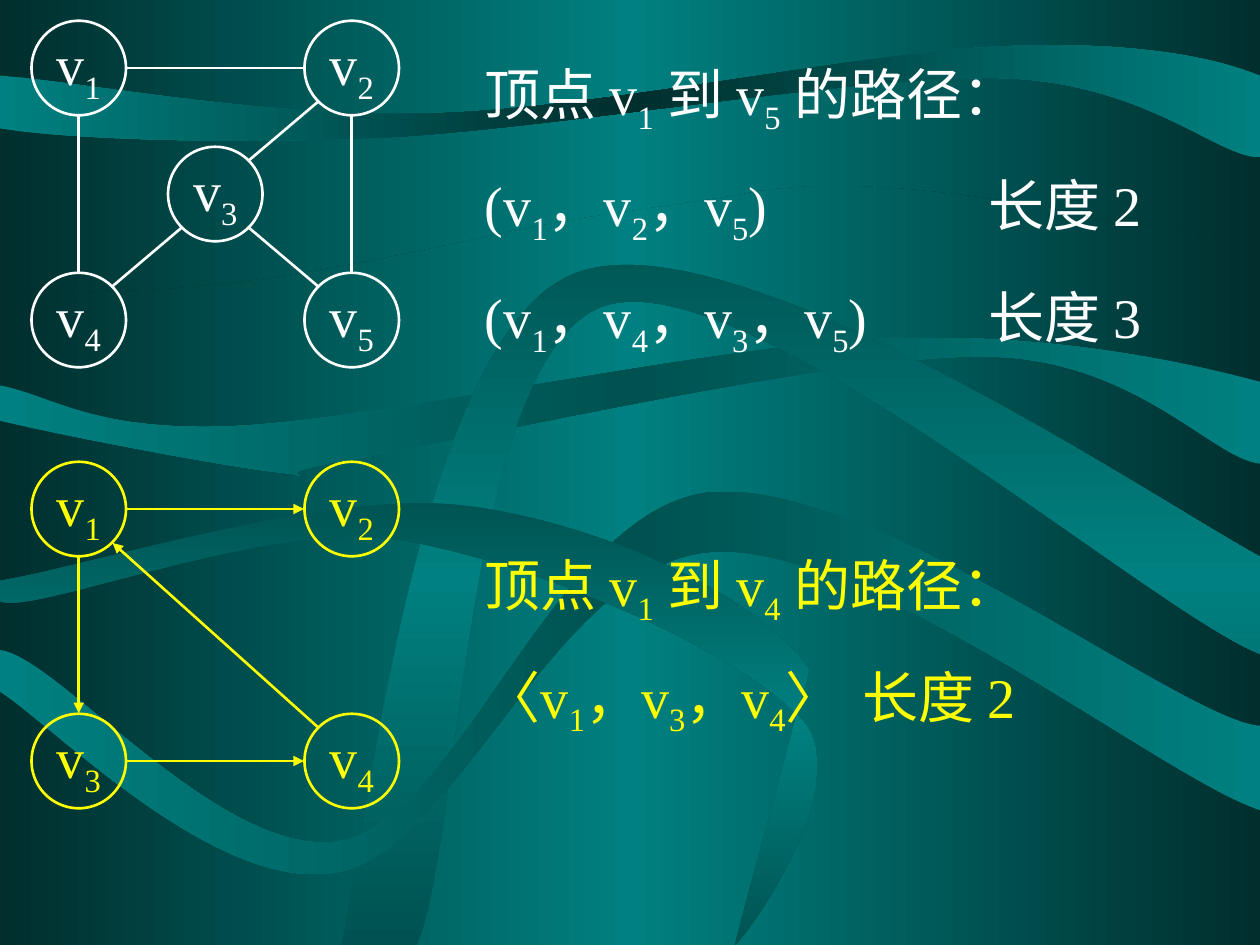
import copy
import math

import pptx
import pptx.dml.color
import pptx.enum.shapes
import pptx.enum.text
import pptx.oxml
import pptx.oxml.ns
import pptx.util
from pptx.util import Inches, Pt

FONT = "Times New Roman"
WHITE, YELLOW = "FFFFFF", "FFFF00"
DARK, SHADE, TEAL = "002F2E", "005250", "008080"

# Node grid, in inches: centre of the first node, column and row steps
FIRST_X, FIRST_Y = 0.625, 0.54
COLUMN, ROW = 13 / 12, 1.0
DIAMETER, EDGE_RADIUS = 0.75, 0.38

# Ribbons: start point, then (x, y) lines and (x1, y1, x2, y2, x, y) curves
RIBBONS = [
    ((DARK, TEAL, DARK), 180, [
        (0, 2.28), (1.78, 2.45, 3.4, 1.94, 4.58, 1.74),
        (4.58, 1.74, 5.67, 1.58, 5.86, 1.55), (7.15, 1.27, 9.17, 1.89, 10, 1.89),
        (10, 7.5), (0, 7.5), (0, 7.5, 0, 2.28, 0, 2.28)]),
    ((TEAL, DARK, TEAL), 180, [
        (0, 0.6), (0, 1.02), (0.51, 1.1, 1.76, 1.15, 3.08, 1.09),
        (4.4, 1.02, 6.79, 0.6, 7.94, 0.62), (9.09, 0.65, 9.66, 1.25, 10, 1.25),
        (10, 0.6), (9.65, 0.46, 9.01, 0.32, 7.92, 0.37),
        (6.82, 0.42, 4.77, 0.86, 3.45, 0.9), (2.13, 0.94, 0.72, 0.66, 0, 0.6)]),
    ((TEAL, SHADE, TEAL), 180, [
        (0, 3.06), (0, 3.34), (0.37, 3.43, 1.75, 3.7, 2.22, 3.75),
        (2.69, 3.8, 1.9, 3.79, 2.82, 3.64), (3.75, 3.48, 6.6, 2.82, 7.8, 2.83),
        (9, 2.83, 9.63, 3.65, 10, 3.68), (10, 3.03),
        (9.5, 2.9, 8.36, 2.63, 7.01, 2.69), (5.66, 2.74, 3.07, 3.32, 1.9, 3.38),
        (0.73, 3.44, 0.4, 3.13, 0, 3.06)]),
    ((SHADE, TEAL, SHADE), 90, [
        (2.71, 7.5), (2.91, 6.61, 3.32, 2.69, 4.54, 2.18),
        (5.75, 1.66, 9.09, 3.92, 10, 4.42), (10, 5.19),
        (9.13, 4.85, 5.91, 2.05, 4.79, 2.43), (3.68, 2.82, 3.66, 6.66, 3.31, 7.5),
        (2.71, 7.5)]),
    ((TEAL, SHADE, TEAL), 180, [
        (0, 5.16), (0, 5.49), (0.45, 5.78, 1.74, 7.11, 2.69, 6.92),
        (3.63, 6.74, 4.43, 4.46, 5.65, 4.38), (6.87, 4.29, 9.27, 6.2, 10, 6.43),
        (10, 5.76), (9.38, 5.72, 6.91, 3.77, 5.62, 3.91),
        (4.41, 4.06, 3.67, 6.46, 2.73, 6.67), (1.79, 6.87, 0.45, 5.2, 0, 5.16)]),
    ((SHADE, TEAL, SHADE), 90, [
        (0, 4.61), (0, 4.77), (0.26, 4.89, 2.08, 4.13, 3.14, 4.28),
        (4.2, 4.44, 5.92, 5.18, 6.37, 5.72), (6.82, 6.25, 5.82, 7.57, 5.83, 7.5),
        (6.42, 5.32), (6.06, 4.74, 4.73, 4.13, 3.66, 4.01),
        (2.59, 3.89, 0.76, 4.48, 0, 4.61)]),
]

# Nodes as number: (column, row)
UNDIRECTED_NODES = {1: (0, 0), 2: (2, 0), 4: (0, 2), 5: (2, 2), 3: (1, 1)}
UNDIRECTED_EDGES = [(4, 3), (3, 2), (1, 2), (1, 4), (3, 5), (2, 5)]
DIRECTED_NODES = {1: (0, 3.5), 2: (2, 3.5), 3: (0, 5.5), 4: (2, 5.5)}
DIRECTED_EDGES = [(1, 2), (1, 3), (3, 4), (4, 1)]

# Every second piece between bars is a subscript
UNDIRECTED_PATHS = [
    "顶点 v|1| 到 v|5| 的路径：",
    "(v|1|，v|2|，v|5|)\t\t长度 2",
    "(v|1|，v|4|，v|3|，v|5|)\t长度 3",
]
DIRECTED_PATHS = [
    "顶点 v|1| 到 v|4| 的路径：",
    "〈v|1|，v|3|，v|4|〉\t长度 2",
]


def rgb(value):
    return pptx.dml.color.RGBColor.from_string(value)


def element(parent, tag, **attributes):
    child = pptx.oxml.parse_xml(f"<a:{tag} {pptx.oxml.ns.nsdecls('a')}/>")
    for name, value in attributes.items():
        child.set(name, str(value))
    parent.append(child)
    return child


def set_gradient(fill, colours, angle):
    """Fill with three evenly spaced colour stops."""
    fill.gradient()
    fill.gradient_angle = angle
    first = fill.gradient_stops[0]._gs
    first.getparent().append(copy.deepcopy(first))
    for index, (stop, colour) in enumerate(zip(fill.gradient_stops, colours)):
        stop.position = index / 2
        stop.color.rgb = rgb(colour)


def bend_segments(ribbon, steps):
    """Join each three segments that stand for one curve into that curve."""
    segments = iter(ribbon._element.findall(".//" + pptx.oxml.ns.qn("a:lnTo")))
    for step in steps:
        first = next(segments)
        if len(step) == 2:
            continue
        curve = element(first.getparent(), "cubicBezTo")
        first.addprevious(curve)
        for segment in (first, next(segments), next(segments)):
            curve.append(segment[0])
            segment.getparent().remove(segment)


def add_ribbon(slide, colours, angle, steps):
    points = [(Inches(step[i]), Inches(step[i + 1]))
              for step in steps for i in range(0, len(step), 2)]
    builder = slide.shapes.build_freeform(*points[0])
    builder.add_line_segments(points[1:], close=True)
    ribbon = builder.convert_to_shape()
    bend_segments(ribbon, steps[1:])
    ribbon.shadow.inherit = False
    set_gradient(ribbon.fill, colours, angle)
    ribbon.line.fill.background()


def add_runs(paragraph, marked, colour):
    for index, piece in enumerate(marked.split("|")):
        run = paragraph.add_run()
        run.text = piece
        run.font.size = Pt(32)
        run.font.name = FONT
        run.font.color.rgb = rgb(colour)
        if index % 2:
            run.font._element.set("baseline", "-25000")


def centre(place):
    column, row = place
    return FIRST_X + column * COLUMN, FIRST_Y + row * ROW


def add_node(shapes, number, place, colour):
    x, y = centre(place)
    node = shapes.add_shape(
        pptx.enum.shapes.MSO_SHAPE.OVAL, Inches(x - DIAMETER / 2),
        Inches(y - DIAMETER / 2), Inches(DIAMETER), Inches(DIAMETER))
    node.shadow.inherit = False
    node.fill.background()
    node.line.color.rgb = rgb(colour)
    node.line.width = Pt(1.5)
    frame = node.text_frame
    frame.word_wrap = False
    frame.vertical_anchor = pptx.enum.text.MSO_ANCHOR.MIDDLE
    frame.paragraphs[0].alignment = pptx.enum.text.PP_ALIGN.CENTER
    add_runs(frame.paragraphs[0], f"v|{number}", colour)


def add_edge(shapes, start, end, colour, directed):
    """Join two nodes at the nearest of the eight compass points of each."""
    (x1, y1), (x2, y2) = centre(start), centre(end)
    dx, dy = (x2 > x1) - (x2 < x1), (y2 > y1) - (y2 < y1)
    reach = EDGE_RADIUS / math.hypot(dx, dy)
    edge = shapes.add_connector(
        pptx.enum.shapes.MSO_CONNECTOR.STRAIGHT,
        Inches(x1 + dx * reach), Inches(y1 + dy * reach),
        Inches(x2 - dx * reach), Inches(y2 - dy * reach))
    edge.line.color.rgb = rgb(colour)
    edge.line.width = Pt(1.5)
    if directed:
        element(edge.line._get_or_add_ln(), "tailEnd", type="triangle")
    element(edge._element.spPr, "effectLst")


def add_graph(slide, nodes, edges, colour, directed=False):
    shapes = slide.shapes.add_group_shape().shapes
    for number, place in nodes.items():
        add_node(shapes, number, place, colour)
    for start, end in edges:
        add_edge(shapes, nodes[start], nodes[end], colour, directed)


def add_paths(slide, top, height, lines, colour):
    box = slide.shapes.add_textbox(
        Inches(3.75), Inches(top), Inches(5.58), Inches(height))
    frame = box.text_frame
    frame.word_wrap = True
    frame.auto_size = pptx.enum.text.MSO_AUTO_SIZE.SHAPE_TO_FIT_TEXT
    for index, line in enumerate(lines):
        paragraph = frame.add_paragraph() if index else frame.paragraphs[0]
        tabs = element(paragraph._p.get_or_add_pPr(), "tabLst")
        for inch in range(1, 8):
            element(tabs, "tab", pos=Inches(inch), algn="l")
        if index:
            paragraph.space_before = Pt(20)
        add_runs(paragraph, line, colour)


def main():
    deck = pptx.Presentation()
    deck.slide_width, deck.slide_height = Inches(10), Inches(7.5)
    slide = deck.slides.add_slide(deck.slide_layouts[6])
    set_gradient(slide.background.fill, (DARK, TEAL, DARK), 180)
    for colours, angle, steps in RIBBONS:
        add_ribbon(slide, colours, angle, steps)
    add_graph(slide, UNDIRECTED_NODES, UNDIRECTED_EDGES, WHITE)
    add_paths(slide, 0.42, 2.48, UNDIRECTED_PATHS, WHITE)
    add_graph(slide, DIRECTED_NODES, DIRECTED_EDGES, YELLOW, directed=True)
    add_paths(slide, 4.32, 1.59, DIRECTED_PATHS, YELLOW)
    deck.save("out.pptx")


if __name__ == "__main__":
    main()
